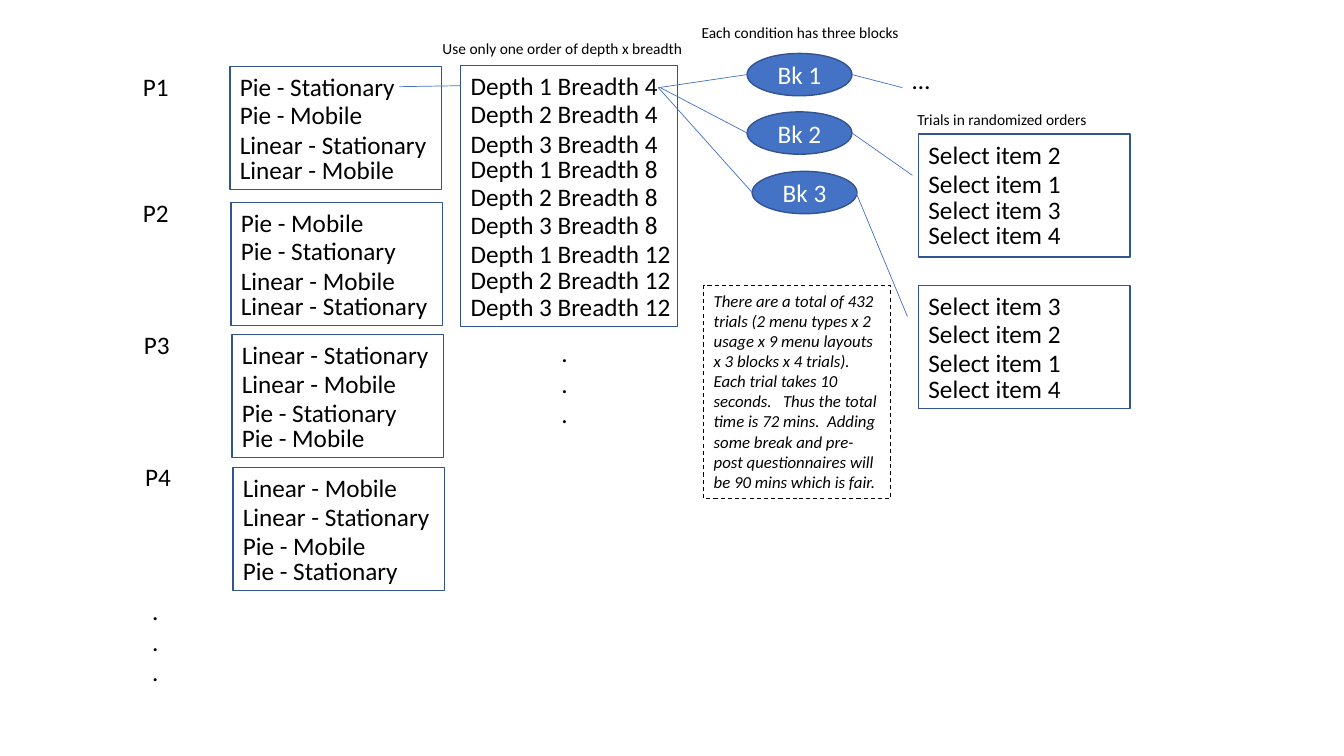
from lxml import etree
from pptx import Presentation
from pptx import util as u
from pptx.dml.color import RGBColor
from pptx.enum import dml, shapes, text
from pptx.oxml.ns import qn

PX = 9144  # EMU in one px, 100 px to the inch
INK, BLUE, EDGE, WHITE = "000000", "4472C4", "325491", "FFFFFF"
STEPS = [0, 28, 57, 82, 110, 138, 167, 192, 219]

PEOPLE = [
    ("P1", 132, 66, 228, 66,
     ["Pie - Stationary", "Pie - Mobile",
      "Linear - Stationary", "Linear - Mobile"]),
    ("P2", 132, 191, 229, 201,
     ["Pie - Mobile", "Pie - Stationary",
      "Linear - Mobile", "Linear - Stationary"]),
    ("P3", 133, 322, 230, 332,
     ["Linear - Stationary", "Linear - Mobile",
      "Pie - Stationary", "Pie - Mobile"]),
    ("P4", 134, 453, 231, 464,
     ["Linear - Mobile", "Linear - Stationary",
      "Pie - Mobile", "Pie - Stationary"]),
]
LEVELS = [f"Depth {d} Breadth {b}" for b in (4, 8, 12) for d in (1, 2, 3)]
BLOCKS = [("Bk 1", 741, 53), ("Bk 2", 741, 111), ("Bk 3", 746, 170)]
TRIALS = [
    (133, [2, 1, 3, 4], [0, 29, 55, 80]),
    (283, [3, 2, 1, 4], STEPS),
]
NOTE = (
    "There are a total of 432 trials (2 menu types x 2 usage x 9 menu layouts "
    "x 3 blocks x 4 trials). Each trial takes 10 seconds.   Thus the total "
    "time is 72 mins.  Adding some break and pre-post questionnaires will be "
    "90 mins which is fair."
)
LINKS = [
    (396, 86, 457, 85),
    (653, 87, 741, 74), (655, 87, 741, 132), (653, 87, 746, 191),
    (845, 74, 895, 87), (845, 132, 905, 174), (849, 191, 900, 314),
]


def px(*nums):
    return [u.Emu(n * PX) for n in nums]


def tint(code):
    return RGBColor.from_string(code)


def write(shape, words, size=18, hue=INK, italic=False,
          align=text.PP_ALIGN.LEFT, anchor=text.MSO_ANCHOR.TOP):
    frame = shape.text_frame
    frame.word_wrap = True
    frame.vertical_anchor = anchor
    frame.text = words
    look = {"name": "Calibri", "size": u.Pt(size), "italic": italic}
    for para in frame.paragraphs:
        para.alignment = align
        for run in para.runs:
            for key, val in look.items():
                setattr(run.font, key, val)
            run.font.color.rgb = tint(hue)


def label(slide, words, x, y, w, h=40, size=18):
    write(slide.shapes.add_textbox(*px(x, y, w, h)), words, size)


def plate(slide, kind, box, fill, edge=EDGE, width=1):
    """Add a filled and outlined shape; fill None leaves it clear."""
    shape = slide.shapes.add_shape(kind, *px(*box))
    shape.shadow.inherit = False
    if fill:
        shape.fill.solid()
        shape.fill.fore_color.rgb = tint(fill)
    else:
        shape.fill.background()
    shape.line.color.rgb = tint(edge)
    shape.line.width = u.Pt(width)
    return shape


def card(slide, rows, x, y, w=210, h=122, steps=STEPS):
    """Frame a list whose rows stand at the given steps."""
    plate(slide, shapes.MSO_SHAPE.RECTANGLE, (x, y, w, h), WHITE)
    for row, step in zip(rows, steps):
        label(slide, row, x, y + step, 232)


def dots(slide, x, y):
    label(slide, ".\n.\n.", x, y, 96, 101)


def link(slide, ends):
    line = slide.shapes.add_connector(
        shapes.MSO_CONNECTOR.STRAIGHT, *px(*ends))
    line.line.color.rgb = tint(BLUE)
    line.line.width = u.Pt(0.5)
    etree.SubElement(line._element.spPr, qn("a:effectLst"))


def people(slide):
    for name, x, y, left, top, rows in PEOPLE:
        label(slide, name, x, y, 90)
        card(slide, rows, left, top)
    dots(slide, 141, 586)


def levels(slide, x, y):
    label(slide, "Use only one order of depth x breadth",
          x - 28, y - 31, 263, 29, 11)
    card(slide, LEVELS, x, y, 215, 259)
    dots(slide, x + 90, y + 265)


def blocks(slide):
    label(slide, "Each condition has three blocks", 686, 18, 344, 29, 11)
    for name, x, y in BLOCKS:
        oval = plate(slide, shapes.MSO_SHAPE.OVAL, (x, y, 104, 42), BLUE)
        write(oval, name, hue=WHITE, align=text.PP_ALIGN.CENTER,
              anchor=text.MSO_ANCHOR.MIDDLE)


def trials(slide, x):
    label(slide, "…", x - 16, 59, 89)
    label(slide, "Trials in randomized orders", x - 11, 104, 196, 29, 11)
    for y, order, steps in TRIALS:
        card(slide, [f"Select item {n}" for n in order], x, y, steps=steps)


def note(slide, box):
    frame = plate(slide, shapes.MSO_SHAPE.RECTANGLE, box, None, INK, 0.75)
    frame.line.dash_style = dml.MSO_LINE.DASH
    write(frame, NOTE, 12, italic=True)


def main():
    deck = Presentation()
    deck.slide_width, deck.slide_height = px(1333, 750)
    slide = deck.slides.add_slide(deck.slide_layouts[6])
    people(slide)
    levels(slide, 457, 65)
    blocks(slide)
    trials(slide, 911)
    note(slide, (698, 283, 185, 212))
    for ends in LINKS:
        link(slide, ends)
    deck.save("out.pptx")


if __name__ == "__main__":
    main()
